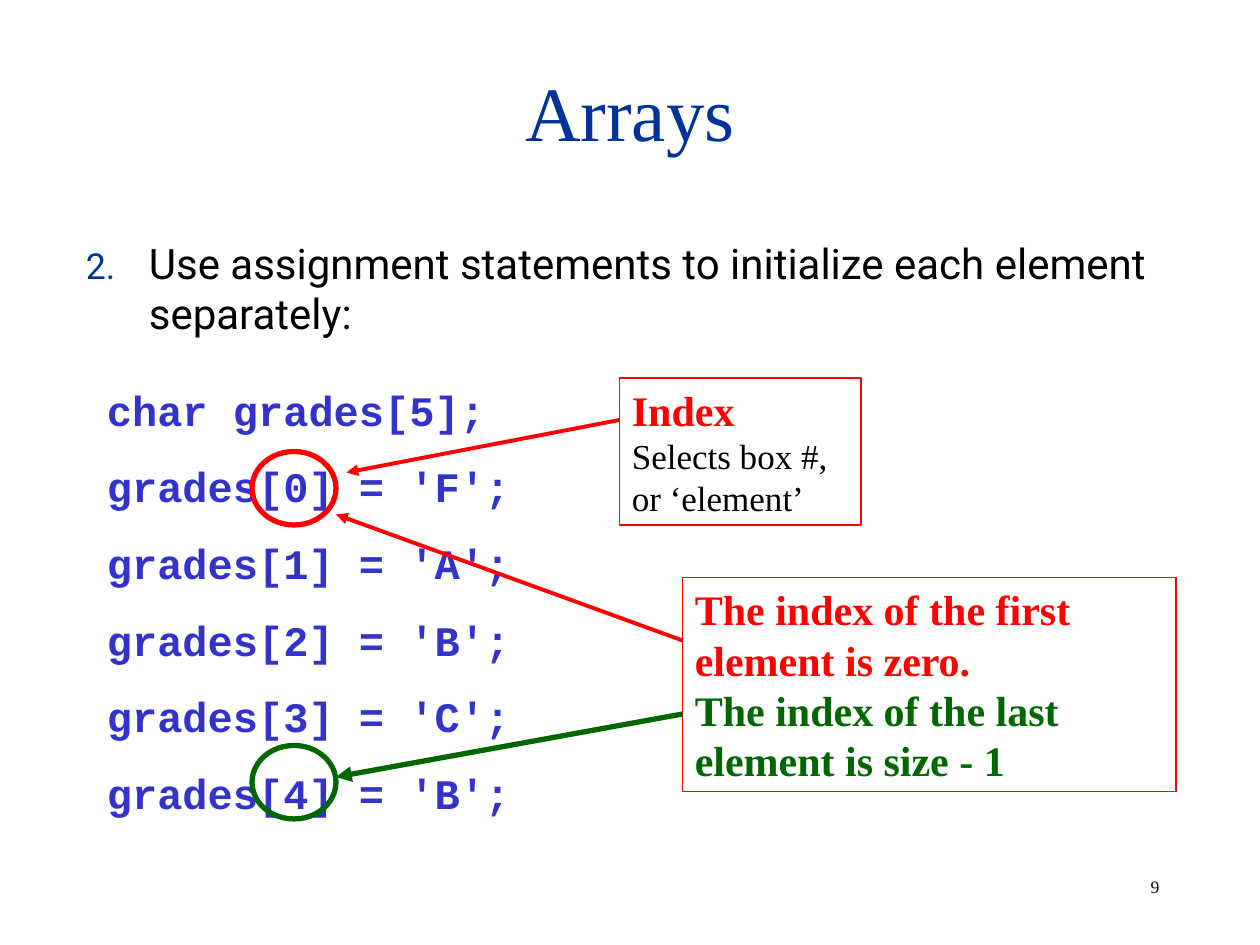
from dataclasses import dataclass

from lxml import etree
from pptx import Presentation
from pptx.dml.color import RGBColor
from pptx.enum.shapes import MSO_CONNECTOR, MSO_SHAPE
from pptx.enum.text import MSO_ANCHOR, MSO_AUTO_SIZE, PP_ALIGN
from pptx.oxml.ns import qn
from pptx.util import Inches, Pt

LEFT, CENTER = PP_ALIGN.LEFT, PP_ALIGN.CENTER
TOP, MIDDLE = MSO_ANCHOR.TOP, MSO_ANCHOR.MIDDLE
OVAL, RECTANGLE = MSO_SHAPE.OVAL, MSO_SHAPE.RECTANGLE
STRAIGHT = MSO_CONNECTOR.STRAIGHT
FIT_NONE, FIT_SHAPE = MSO_AUTO_SIZE.NONE, MSO_AUTO_SIZE.SHAPE_TO_FIT_TEXT

COLUMNS, ROWS = 120, 90
SLIDE_WIDTH, SLIDE_HEIGHT = Inches(10), Inches(7.5)
SERIF, SANS, MONO = "Times New Roman", "Roboto", "Courier New"
NAVY, BLACK, CODE_BLUE = "003399", "000000", "3333CC"
RED, GREEN = "FF0000", "006600"
LINE_HEIGHT = 1.2


@dataclass(frozen=True)
class Area:
    """A rectangle in grid columns and rows."""
    column: float
    row: float
    columns: float
    rows: float


@dataclass(frozen=True)
class Line:
    text: str
    size: float
    color: str
    font: str = SERIF
    bold: bool = False
    fixed_height: bool = True


@dataclass(frozen=True)
class Arrow:
    start: tuple[float, float]
    end: tuple[float, float]
    color: str
    width: float


@dataclass(frozen=True)
class Ring:
    area: Area
    color: str


def rgb(color: str) -> RGBColor:
    return RGBColor.from_string(color)


def x(column: float) -> int:
    return round(SLIDE_WIDTH * column / COLUMNS)


def y(row: float) -> int:
    return round(SLIDE_HEIGHT * row / ROWS)


def bounds(area: Area) -> tuple[int, int, int, int]:
    return x(area.column), y(area.row), x(area.columns), y(area.rows)


def set_values(target, values: dict) -> None:
    for name, value in values.items():
        setattr(target, name, value)


def write(shape, lines: list[Line], gap: float = 0, align=LEFT, anchor=TOP,
          wrap: bool = True, fit=FIT_NONE) -> None:
    """Fill a shape with one paragraph per line, with gap points between them."""
    frame = shape.text_frame
    set_values(frame, {"word_wrap": wrap, "auto_size": fit, "vertical_anchor": anchor})
    for index, line in enumerate(lines):
        paragraph = frame.add_paragraph() if index else frame.paragraphs[0]
        paragraph.alignment = align
        if index:
            paragraph.space_before = Pt(gap)
        if line.fixed_height:
            paragraph.line_spacing = Pt(line.size * LINE_HEIGHT)
        run = paragraph.add_run()
        run.text = line.text
        set_values(run.font, {"name": line.font, "size": Pt(line.size), "bold": line.bold})
        run.font.color.rgb = rgb(line.color)


def add_text(slide, area: Area, lines: list[Line], **layout):
    shape = slide.shapes.add_textbox(*bounds(area))
    write(shape, lines, **layout)
    return shape


def add_outline(slide, kind, area: Area, color: str, width: float):
    shape = slide.shapes.add_shape(kind, *bounds(area))
    shape.shadow.inherit = False
    shape.fill.background()
    shape.line.color.rgb = rgb(color)
    shape.line.width = Pt(width)
    return shape


def add_callout(slide, area: Area, lines: list[Line]) -> None:
    write(add_outline(slide, RECTANGLE, area, RED, 0.75), lines, fit=FIT_SHAPE)


def add_ring(slide, ring: Ring) -> None:
    add_outline(slide, OVAL, ring.area, ring.color, 3)


def add_arrow(slide, arrow: Arrow) -> None:
    (start_column, start_row), (end_column, end_row) = arrow.start, arrow.end
    connector = slide.shapes.add_connector(
        STRAIGHT, x(start_column), y(start_row), x(end_column), y(end_row))
    connector.line.color.rgb = rgb(arrow.color)
    connector.line.width = Pt(arrow.width)
    etree.SubElement(connector.line._get_or_add_ln(), qn("a:tailEnd"), type="triangle")
    etree.SubElement(connector._element.spPr, qn("a:effectLst"))


def number_paragraph(paragraph, start: int, color: str) -> None:
    properties = paragraph._p.get_or_add_pPr()
    indent = Inches(0.5)
    properties.set("marL", str(indent))
    properties.set("indent", str(-indent))
    bullet_color = etree.SubElement(properties, qn("a:buClr"))
    etree.SubElement(bullet_color, qn("a:srgbClr"), val=color)
    etree.SubElement(properties, qn("a:buSzPct"), val="85000")
    etree.SubElement(properties, qn("a:buFont"), typeface=SANS)
    etree.SubElement(properties, qn("a:buAutoNum"), type="arabicPeriod", startAt=str(start))


def main() -> None:
    presentation = Presentation()
    set_values(presentation, {"slide_width": SLIDE_WIDTH, "slide_height": SLIDE_HEIGHT})
    slide = presentation.slides.add_slide(presentation.slide_layouts[6])

    add_text(slide, Area(108.4, 82.8, 9.4, 3.2),
             [Line("9", 10, BLACK, fixed_height=False)], wrap=False, fit=FIT_SHAPE)
    add_text(slide, Area(9, 3, 102, 15),
             [Line("Arrays", 44, NAVY, fixed_height=False)], align=CENTER, anchor=MIDDLE)
    body = add_text(slide, Area(7, 22, 105, 61), [
        Line("Use assignment statements to initialize each element separately:",
             24, BLACK, SANS, fixed_height=False)])
    number_paragraph(body.text_frame.paragraphs[0], 2, NAVY)

    statements = ["char grades[5];"]
    statements += [f"grades[{index}] = '{grade}';" for index, grade in enumerate("FABCB")]
    add_text(slide, Area(9, 36, 107, 42.5),
             [Line(statement, 24, CODE_BLUE, MONO, True) for statement in statements],
             gap=15, fit=FIT_SHAPE)

    add_ring(slide, Ring(Area(24, 43, 8, 7), RED))
    add_arrow(slide, Arrow((59, 40), (33, 45), RED, 2.25))
    add_callout(slide, Area(59, 36, 23, 14), [
        Line("Index", 24, RED, bold=True),
        Line("Selects box #,", 20, BLACK),
        Line("or ‘element’", 20, BLACK)])
    add_callout(slide, Area(65, 55, 47, 20.4), [
        Line("The index of the first element is zero.", 24, RED, bold=True),
        Line("The index of the last element is size - 1", 24, GREEN, bold=True)])
    add_arrow(slide, Arrow((65, 61), (32, 49), RED, 2.25))
    add_arrow(slide, Arrow((65, 68), (32, 74), GREEN, 3))
    add_ring(slide, Ring(Area(24, 71, 8, 7), GREEN))

    presentation.save("out.pptx")


if __name__ == "__main__":
    main()
